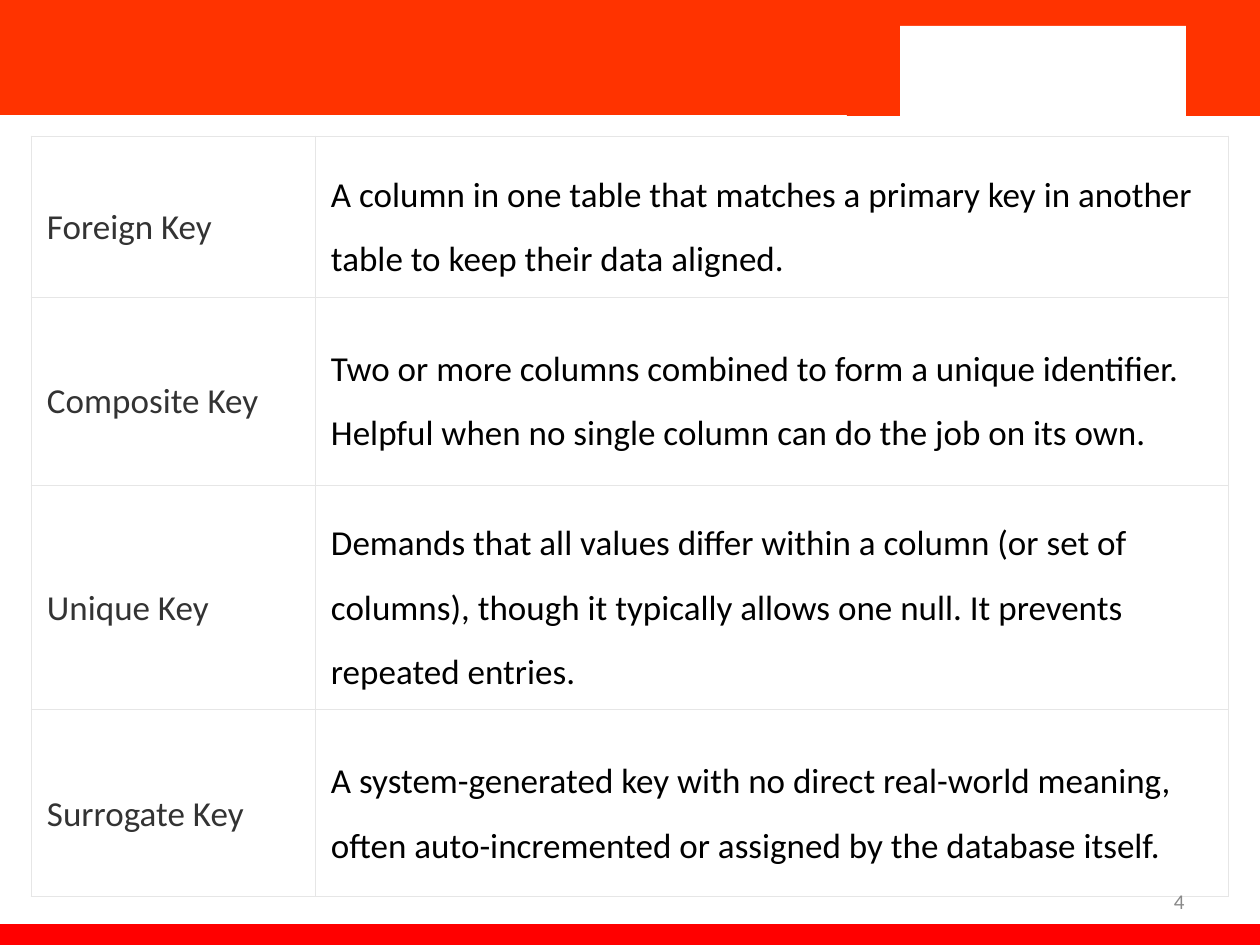
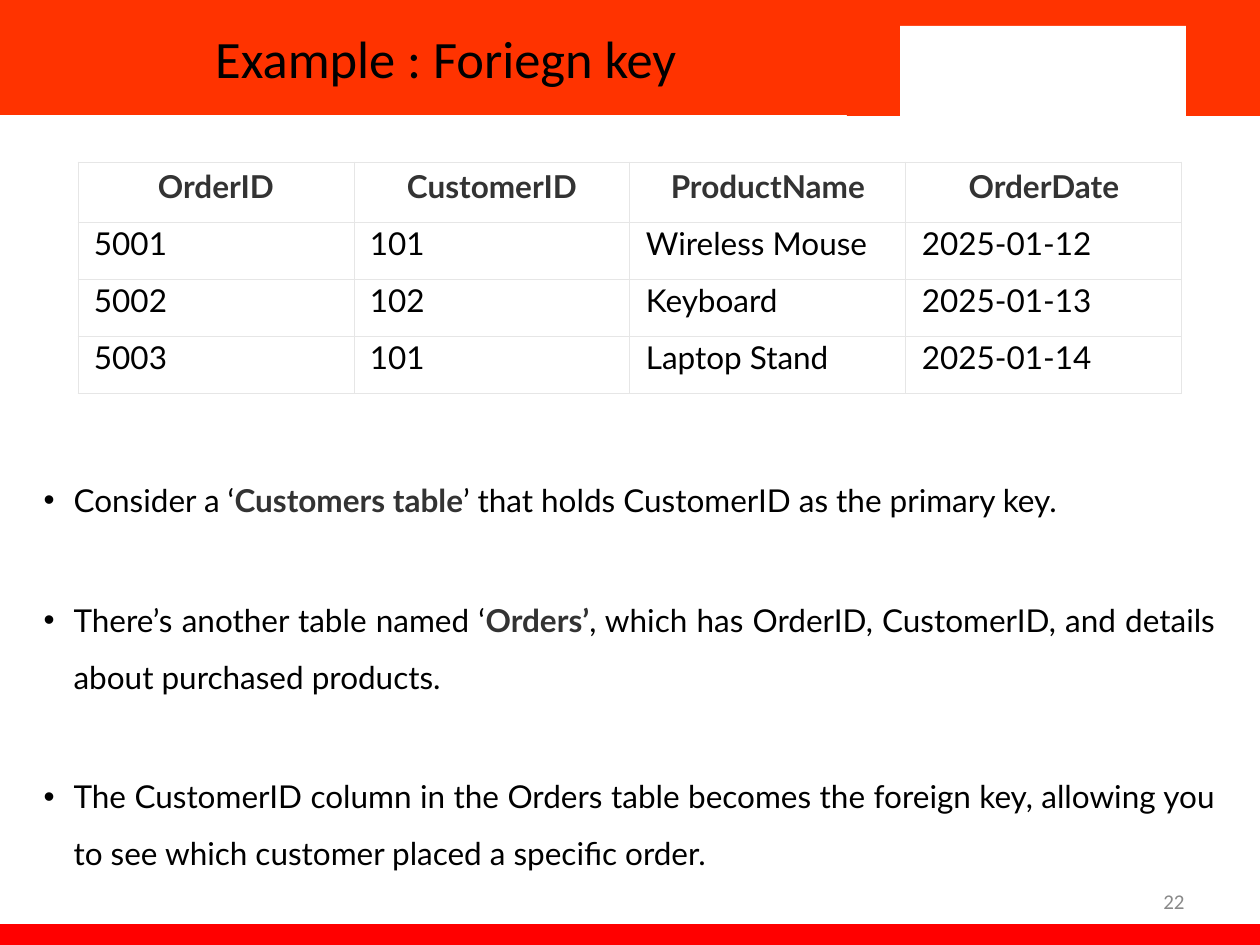
from dataclasses import dataclass

from lxml.etree import SubElement
from pptx import Presentation
from pptx.dml.color import RGBColor
from pptx.enum.shapes import MSO_SHAPE
from pptx.enum.text import MSO_ANCHOR, MSO_AUTO_SIZE, PP_ALIGN
from pptx.oxml.ns import qn
from pptx.util import Emu, Pt

PX_PER_INCH = 126
BLANK_LAYOUT, CONTENT_LAYOUT = 6, 1


@dataclass(frozen=True)
class Theme:
    header: str = "FF3300"
    footer: str = "FF0000"
    white: str = "FFFFFF"
    black: str = "000000"
    accent: str = "333333"
    border: str = "E6E6E6"
    number: str = "898989"
    main_font: str = "Calibri"
    data_font: str = "Lato"
    title_size: int = 30
    key_size: int = 20
    text_size: int = 18
    number_size: int = 12
    border_width: float = 0.6


THEME = Theme()

BANDS = [
    ((0, 0, 1260, 115), THEME.header),
    ((0, 924, 1260, 21), THEME.footer),
    ((847, 0, 413, 116), THEME.header),
    ((900, 26, 286, 95), THEME.white),
]

KEY_ROWS = [
    ("Foreign Key", "A column in one table that matches a primary key in another table "
     "to keep their data aligned."),
    ("Composite Key", "Two or more columns combined to form a unique identifier. "
     "Helpful when no single column can do the job on its own."),
    ("Unique Key", "Demands that all values differ within a column (or set of columns), "
     "though it typically allows one null. It prevents repeated entries."),
    ("Surrogate Key", "A system-generated key with no direct real-world meaning, often "
     "auto-incremented or assigned by the database itself."),
]

ORDER_ROWS = [
    ("OrderID", "CustomerID", "ProductName", "OrderDate"),
    ("5001", "101", "Wireless Mouse", "2025-01-12"),
    ("5002", "102", "Keyboard", "2025-01-13"),
    ("5003", "101", "Laptop Stand", "2025-01-14"),
]

ORDER_NOTES = [
    [("Consider a ‘", False), ("Customers table", True),
     ("’ that holds CustomerID as the primary key.", False)],
    [("There’s another table named ‘", False), ("Orders’", True),
     (", which has OrderID, CustomerID, and details about purchased products.", False)],
    [("The CustomerID column in the Orders table becomes the foreign key, allowing you "
      "to see which customer placed a specific order.", False)],
]


def px(length):
    return Emu(round(length * 914400 / PX_PER_INCH))


def set_values(target, values):
    for name, value in values.items():
        setattr(target, name, value)


def place(shape, box):
    set_values(shape, dict(zip(("left", "top", "width", "height"), map(px, box))))


def add_run(paragraph, text, color, size, font=THEME.main_font, bold=False):
    run = paragraph.add_run()
    run.text = text
    set_values(run.font, {"name": font, "size": Pt(size), "bold": bold})
    run.font.color.rgb = RGBColor.from_string(color)


def add_master_bands(presentation, slide):
    master_tree = presentation.slide_master.element.cSld.spTree
    for index, (box, color) in enumerate(BANDS):
        band = slide.shapes.add_shape(MSO_SHAPE.RECTANGLE, *map(px, box))
        band.shadow.inherit = False
        band.fill.solid()
        band.fill.fore_color.rgb = RGBColor.from_string(color)
        band.line.fill.background()
        band.element.nvSpPr.cNvPr.set("id", str(101 + index))
        master_tree.insert(2 + index, band.element)


def add_slide_number(slide, number):
    box = slide.shapes.add_textbox(*map(px, (903, 876, 294, 50)))
    set_values(box.text_frame, {"word_wrap": True, "vertical_anchor": MSO_ANCHOR.MIDDLE})
    paragraph = box.text_frame.paragraphs[0]
    paragraph.alignment = PP_ALIGN.RIGHT
    add_run(paragraph, number, THEME.number, THEME.number_size)


def add_cell_borders(cell):
    properties = cell.fill._xPr
    for index, tag in enumerate(("a:lnL", "a:lnR", "a:lnT", "a:lnB")):
        line = SubElement(properties, qn(tag), w=str(Pt(THEME.border_width)))
        fill = SubElement(line, qn("a:solidFill"))
        SubElement(fill, qn("a:srgbClr"), val=THEME.border)
        properties.insert(index, line)


def fill_cell(cell, text, paragraph_values, run_values):
    margins = dict.fromkeys(
        ("margin_left", "margin_right", "margin_top", "margin_bottom"), px(16))
    set_values(cell, {**margins, "vertical_anchor": MSO_ANCHOR.MIDDLE})
    cell.fill.solid()
    cell.fill.fore_color.rgb = RGBColor.from_string(THEME.white)
    add_cell_borders(cell)
    paragraph = cell.text_frame.paragraphs[0]
    set_values(paragraph, paragraph_values)
    add_run(paragraph, text, **run_values)


def add_grid(slide, left, top, widths, heights, rows, cell_format):
    frame = slide.shapes.add_table(
        len(heights), len(widths),
        *map(px, (left, top, sum(widths), sum(heights))))
    table = frame.table
    set_values(table, {"first_row": False, "horz_banding": False})
    for column, width in zip(table.columns, widths):
        column.width = px(width)
    for row, height in zip(table.rows, heights):
        row.height = px(height)
    for row_index, texts in enumerate(rows):
        for column_index, text in enumerate(texts):
            fill_cell(table.cell(row_index, column_index), text,
                      *cell_format(row_index, column_index))


def key_cell_format(row, column):
    color = THEME.black if column else THEME.accent
    return {"line_spacing": 1.5}, {"color": color, "size": THEME.key_size}


def order_cell_format(row, column):
    is_header = row == 0
    paragraph_values = {
        "alignment": PP_ALIGN.CENTER if is_header else PP_ALIGN.LEFT,
        "line_spacing": Pt(15 if is_header else 13.5),
    }
    run_values = {
        "color": THEME.accent if is_header else THEME.black,
        "size": THEME.text_size,
        "font": THEME.data_font,
        "bold": is_header,
    }
    return paragraph_values, run_values


def set_title(slide, text):
    title = slide.shapes.title
    place(title, (0, 0, 892, 116))
    title.text_frame.vertical_anchor = MSO_ANCHOR.MIDDLE
    paragraph = title.text_frame.paragraphs[0]
    paragraph.alignment = PP_ALIGN.CENTER
    add_run(paragraph, text, THEME.black, THEME.title_size)


def set_bullets(slide, box, items):
    body = slide.placeholders[1]
    place(body, box)
    frame = body.text_frame
    set_values(frame, {"auto_size": MSO_AUTO_SIZE.SHAPE_TO_FIT_TEXT,
                       "vertical_anchor": MSO_ANCHOR.TOP, "word_wrap": True})
    for index, runs in enumerate(items):
        paragraph = frame.add_paragraph() if index else frame.paragraphs[0]
        properties = paragraph._p.get_or_add_pPr()
        properties.set("marL", str(px(30)))
        properties.set("indent", str(px(-30)))
        set_values(paragraph, {
            "alignment": PP_ALIGN.JUSTIFY,
            "line_spacing": 1.5,
            "space_before": Pt(18 if index else 0),
            "space_after": Pt(18),
        })
        for text, strong in runs:
            add_run(paragraph, text, THEME.accent if strong else THEME.black,
                    THEME.text_size, THEME.data_font, strong)


def add_key_slide(presentation):
    slide = presentation.slides.add_slide(presentation.slide_layouts[BLANK_LAYOUT])
    add_master_bands(presentation, slide)
    add_grid(slide, 31, 136, (284, 913), (161, 188, 225, 187), KEY_ROWS, key_cell_format)
    add_slide_number(slide, "4")


def add_example_slide(presentation):
    slide = presentation.slides.add_slide(presentation.slide_layouts[CONTENT_LAYOUT])
    set_title(slide, "Example : Foriegn key")
    add_grid(slide, 78, 162, [276] * 4, [60] + [57] * 3, ORDER_ROWS, order_cell_format)
    add_slide_number(slide, "22")
    set_bullets(slide, (31, 456, 1197, 421), ORDER_NOTES)


def main():
    presentation = Presentation()
    set_values(presentation, {"slide_width": px(1260), "slide_height": px(945)})
    add_key_slide(presentation)
    add_example_slide(presentation)
    presentation.save("out.pptx")


if __name__ == "__main__":
    main()
